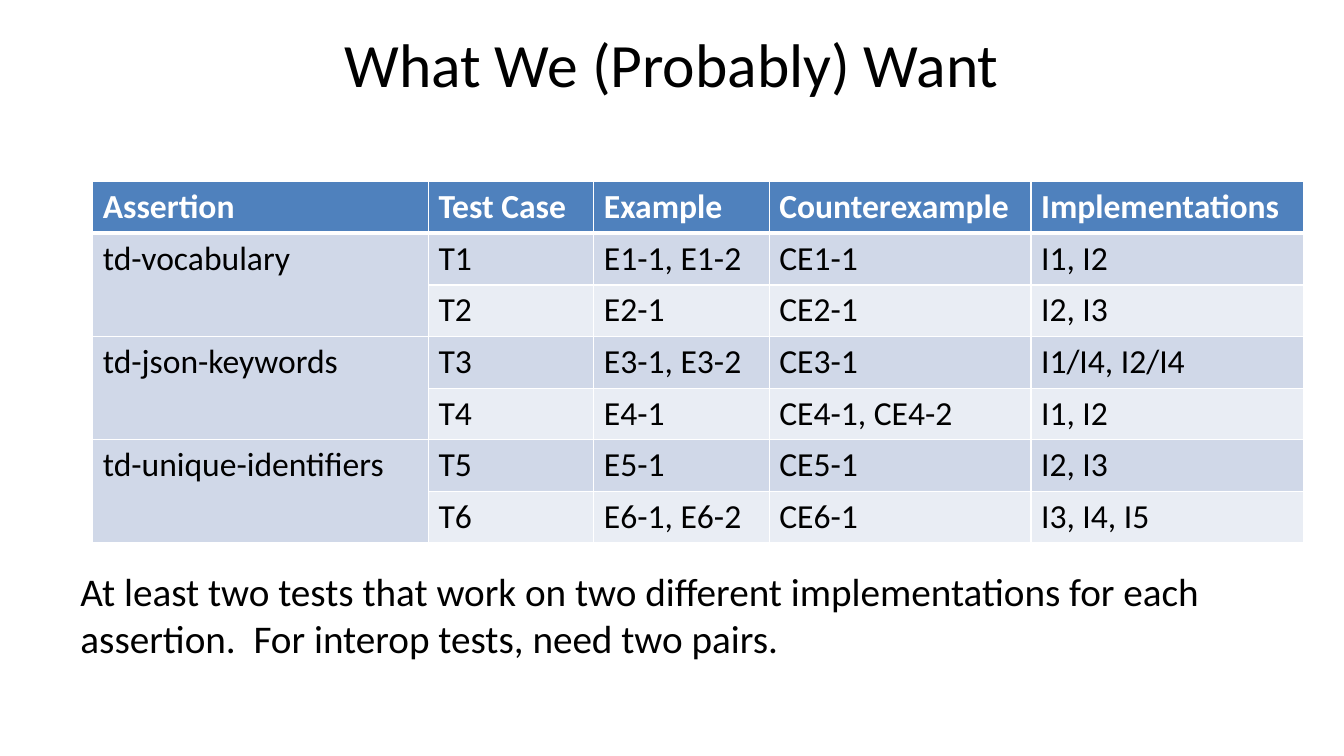
from dataclasses import dataclass

from lxml.etree import SubElement
from pptx import Presentation
from pptx.dml.color import RGBColor
from pptx.enum.text import MSO_ANCHOR, PP_ALIGN
from pptx.oxml.ns import qn
from pptx.util import Cm, Pt


@dataclass(frozen=True)
class Theme:
    font: str = "Calibri"
    title_size: int = 44
    body_size: int = 28
    table_size: int = 24
    text: str = "000000"
    header_text: str = "FFFFFF"
    header_fill: str = "4F81BD"
    band_fills: tuple = ("D0D8E8", "E9EDF4")
    border: str = "FFFFFF"
    thin_border: int = 1
    thick_border: int = 3


class SlideBuilder:
    def __init__(self, slide, theme):
        self.slide = slide
        self.theme = theme

    def format_runs(self, paragraph, size, color, bold=False):
        for run in paragraph.runs:
            run.font.name = self.theme.font
            run.font.size = Pt(size)
            run.font.bold = bold
            run.font.color.rgb = RGBColor.from_string(color)

    def add_text(self, text, left, top, width, height, size,
                 alignment=PP_ALIGN.LEFT, anchor=MSO_ANCHOR.TOP):
        shape = self.slide.shapes.add_textbox(Cm(left), Cm(top), Cm(width), Cm(height))
        text_frame = shape.text_frame
        text_frame.word_wrap = True
        text_frame.vertical_anchor = anchor
        text_frame.margin_left = text_frame.margin_right = Cm(0.33)
        text_frame.margin_top = text_frame.margin_bottom = Cm(0.18)
        text_frame.text = text
        paragraph = text_frame.paragraphs[0]
        paragraph.alignment = alignment
        self.format_runs(paragraph, size, self.theme.text)

    def add_borders(self, cell, row_index):
        """Draw white cell borders, with a thicker line under the header row."""
        theme = self.theme
        properties = cell._tc.get_or_add_tcPr()
        for side in ("lnL", "lnR", "lnT", "lnB"):
            under_header = (row_index, side) in ((0, "lnB"), (1, "lnT"))
            width = theme.thick_border if under_header else theme.thin_border
            line = SubElement(properties, qn(f"a:{side}"), w=str(Pt(width)))
            fill = SubElement(line, qn("a:solidFill"))
            SubElement(fill, qn("a:srgbClr"), val=theme.border)

    def add_table(self, rows, left, top, column_widths, row_height, group_size):
        """Add a header row and banded rows; first-column cells span group_size rows."""
        theme = self.theme
        table = self.slide.shapes.add_table(
            len(rows), len(column_widths), Cm(left), Cm(top),
            Cm(sum(column_widths)), Cm(row_height * len(rows))).table
        for column, width in zip(table.columns, column_widths):
            column.width = Cm(width)
        for row_index, values in enumerate(rows):
            table.rows[row_index].height = Cm(row_height)
            is_header = row_index == 0
            band = theme.band_fills[(row_index - 1) % len(theme.band_fills)]
            for column_index, value in enumerate(values):
                cell = table.cell(row_index, column_index)
                self.add_borders(cell, row_index)
                row_fill = theme.band_fills[0] if column_index == 0 else band
                cell.fill.solid()
                cell.fill.fore_color.rgb = RGBColor.from_string(
                    theme.header_fill if is_header else row_fill)
                cell.text_frame.text = value
                self.format_runs(cell.text_frame.paragraphs[0], theme.table_size,
                                 theme.header_text if is_header else theme.text,
                                 bold=is_header)
        for first_row in range(1, len(rows), group_size):
            table.cell(first_row, 0).merge(table.cell(first_row + group_size - 1, 0))


ROWS = [
    ("Assertion", "Test Case", "Example", "Counterexample", "Implementations"),
    ("td-vocabulary", "T1", "E1-1, E1-2", "CE1-1", "I1, I2"),
    ("", "T2", "E2-1", "CE2-1", "I2, I3"),
    ("td-json-keywords", "T3", "E3-1, E3-2", "CE3-1", "I1/I4, I2/I4"),
    ("", "T4", "E4-1", "CE4-1, CE4-2", "I1, I2"),
    ("td-unique-identifiers", "T5", "E5-1", "CE5-1", "I2, I3"),
    ("", "T6", "E6-1, E6-2", "CE6-1", "I3, I4, I5"),
]


def main():
    slide_width = 33.88
    theme = Theme()
    presentation = Presentation()
    presentation.slide_width = Cm(slide_width)
    presentation.slide_height = Cm(19.05)
    slide = presentation.slides.add_slide(presentation.slide_layouts[6])
    builder = SlideBuilder(slide, theme)

    builder.add_text("What We (Probably) Want", 0, 0, slide_width, 3.18,
                     theme.title_size, PP_ALIGN.CENTER, MSO_ANCHOR.MIDDLE)
    builder.add_table(ROWS, left=2.34, top=4.58,
                      column_widths=(8.46, 4.17, 4.42, 6.6, 6.88),
                      row_height=1.3, group_size=2)
    builder.add_text("At least two tests that work on two different implementations "
                     "for each assertion.  For interop tests, need two pairs.",
                     1.7, 14.12, 30.5, 2.9, theme.body_size)

    presentation.save("out.pptx")


if __name__ == "__main__":
    main()
